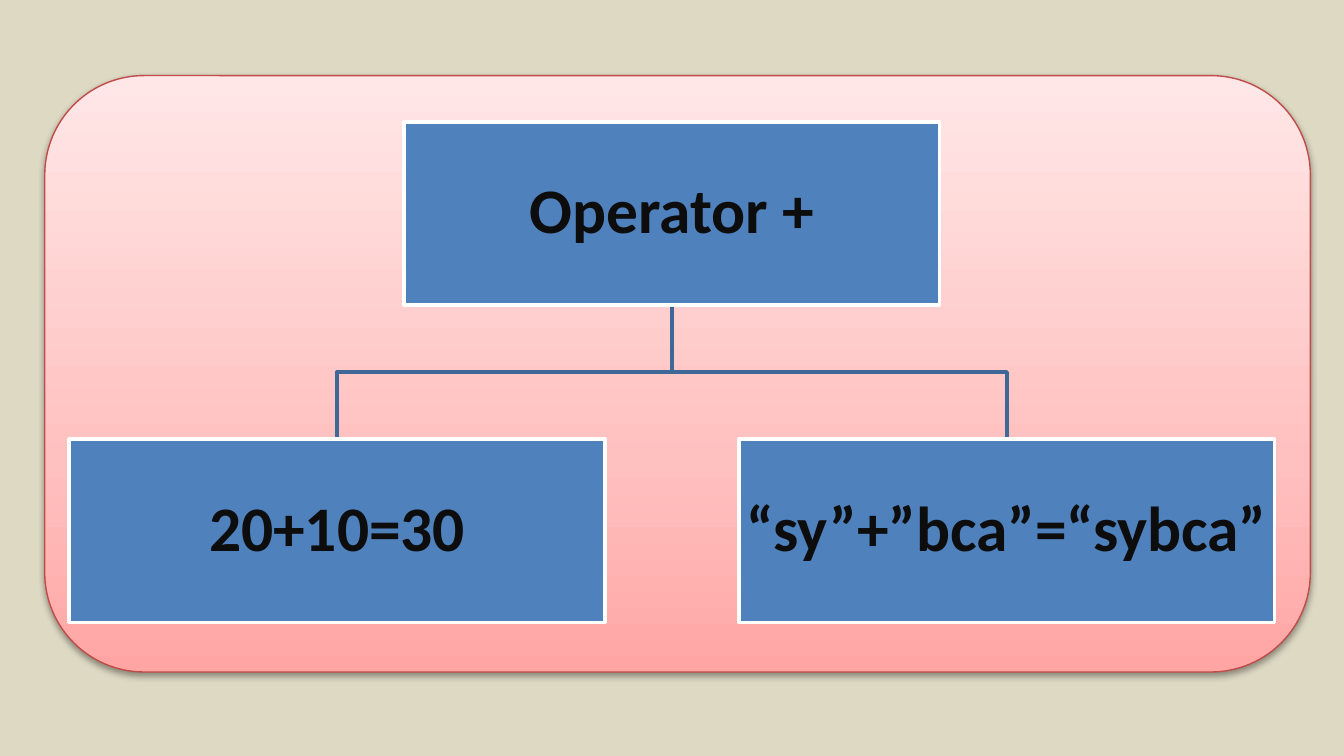
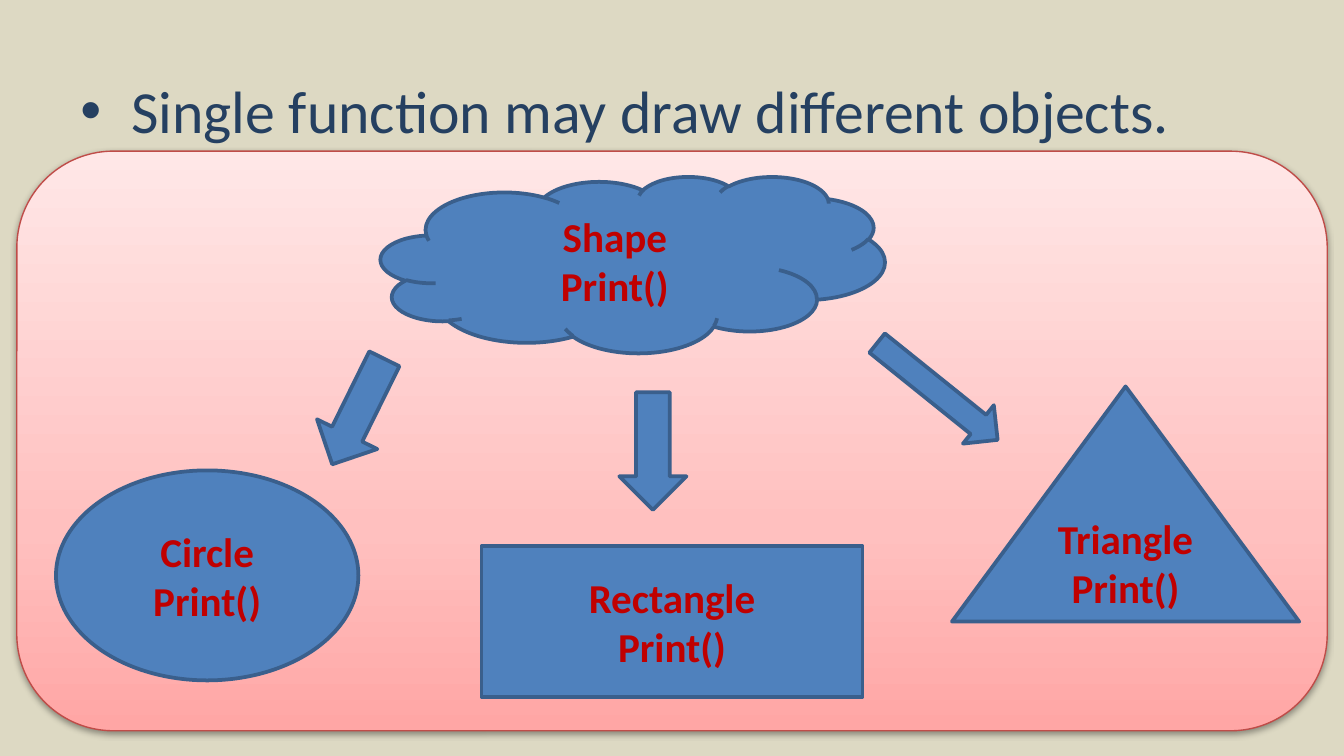
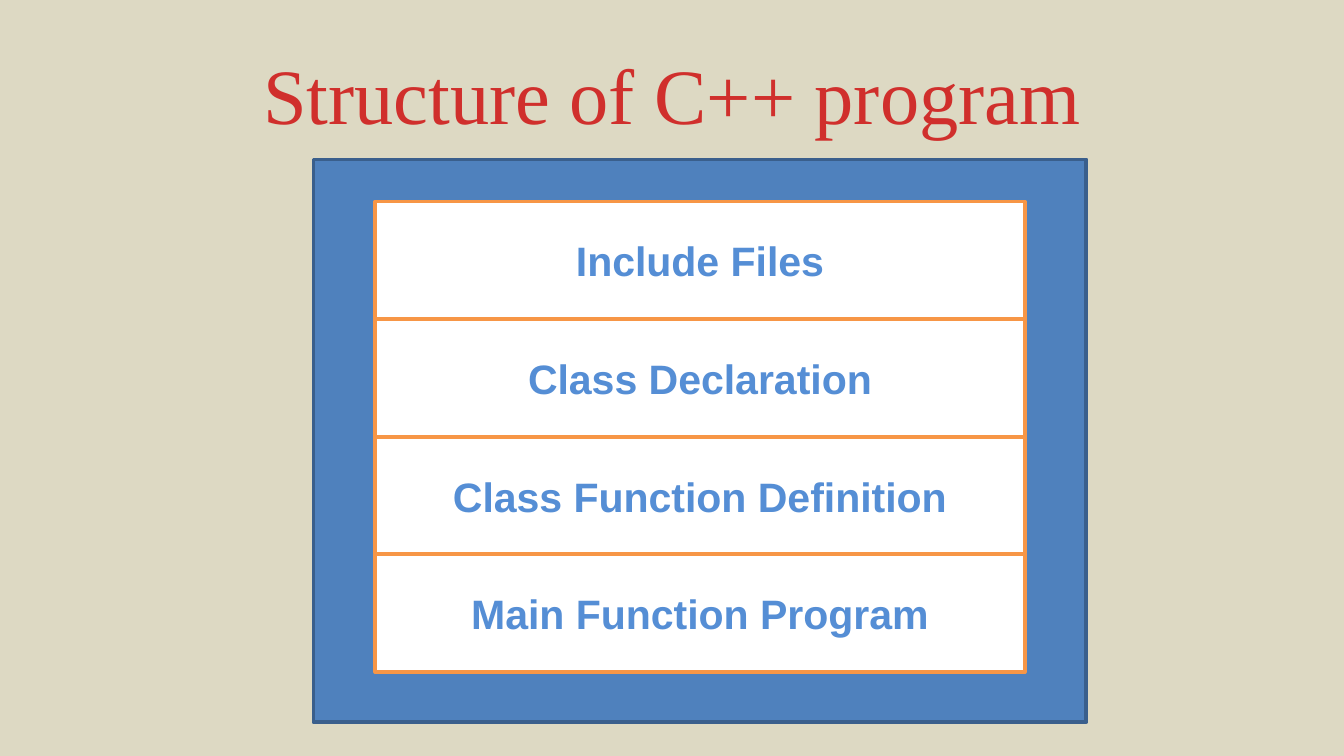
from lxml import etree
from pptx import Presentation
from pptx.dml.color import RGBColor
from pptx.enum.shapes import MSO_SHAPE as Preset
from pptx.enum.text import MSO_ANCHOR as Anchor, PP_ALIGN as Align
from pptx.oxml import parse_xml
from pptx.oxml.ns import nsdecls, qn
from pptx.util import Inches, Pt

# Grid of the 10 x 5.625 inch slide
COLUMNS, ROWS = 120, 90

# Shared colours
SAND, BLUE, EDGE, LINK = "DDD9C3", "4F81BD", "3A5F8C", "3F6797"
WHITE, ORANGE, ROSE = "FFFFFF", "F79646", "BF4C48"
PINK_STOPS = [(0, "FFA6A5"), (35, "FFC0BF"), (100, "FFE7E7")]
RED_STOPS = [(0, "FC7C7A"), (75, "D02F2C"), (100, "C70500")]

# Text formats
NODE = {"name": "Calibri", "size": Pt(34), "bold": True, "color": "0D0D0D"}
OBJECT = {"name": "Calibri", "size": Pt(22), "bold": True, "color": "C00000"}
SECTION = {"name": "Arial", "size": Pt(22), "bold": True, "color": "558ED5"}
BODY = {"name": "Calibri", "size": Pt(32), "color": "254061"}
TITLE = {"name": "Times New Roman", "size": Pt(42)}


def color(value):
    return RGBColor.from_string(value)


def gradient(stops, angle):
    marks = "".join(
        f'<a:gs pos="{share * 1000}"><a:srgbClr val="{value}"/></a:gs>'
        for share, value in stops)
    return parse_xml(
        f'<a:gradFill {nsdecls("a")} rotWithShape="1"><a:gsLst>{marks}</a:gsLst>'
        f'<a:lin ang="{angle * 60000}" scaled="0"/></a:gradFill>')


class Slides:
    """Holds the deck, its style and the current page."""

    def __init__(self):
        self.deck = Presentation()
        self.deck.slide_width = Inches(10)
        self.deck.slide_height = Inches(5.625)
        self.column = self.deck.slide_width / COLUMNS
        self.row = self.deck.slide_height / ROWS
        self.page = None

    def new_page(self):
        self.page = self.deck.slides.add_slide(self.deck.slide_layouts[6])
        fill = self.page.background.fill
        fill.solid()
        fill.fore_color.rgb = color(SAND)

    def place(self, left, top, width, height):
        return (round(left * self.column), round(top * self.row),
                round(width * self.column), round(height * self.row))

    def fill_text(self, frame, lines, style, align=Align.CENTER, **spacing):
        frame.word_wrap = True
        for index, line in enumerate(lines):
            para = frame.add_paragraph() if index else frame.paragraphs[0]
            para.alignment = align
            for name, value in spacing.items():
                setattr(para, name, value)
            span = para.add_run()
            span.text = line
            for name, value in style.items():
                if name == "color":
                    span.font.color.rgb = color(value)
                else:
                    setattr(span.font, name, value)

    def shape(self, preset, area, fill=BLUE, line=EDGE, weight=2, turn=0):
        box = self.page.shapes.add_shape(preset, *self.place(*area))
        box.shadow.inherit = False
        box.fill.solid()
        box.fill.fore_color.rgb = color(fill)
        box.line.color.rgb = color(line)
        box.line.width = Pt(weight)
        box.rotation = turn
        return box

    def label(self, box, lines, style, inset=None, **spacing):
        frame = box.text_frame
        frame.vertical_anchor = Anchor.MIDDLE
        if inset is not None:
            for side in ("left", "top", "right", "bottom"):
                setattr(frame, f"margin_{side}", inset)
        self.fill_text(frame, lines, style, **spacing)

    def panel(self, area):
        """Rounded pink panel with a soft shadow below."""
        box = self.shape(Preset.ROUNDED_RECTANGLE, area, line=ROSE, weight=0.75)
        properties = box._element.spPr
        solid = properties.find(qn("a:solidFill"))
        properties.replace(solid, gradient(PINK_STOPS, 270))
        shadow = etree.SubElement(
            properties.find(qn("a:effectLst")), qn("a:outerShdw"),
            blurRad=str(Pt(3.1)), dist=str(Pt(1.6)), dir="5400000", rotWithShape="0")
        tone = etree.SubElement(shadow, qn("a:srgbClr"), val="000000")
        etree.SubElement(tone, qn("a:alpha"), val="38000")

    def elbow(self, points):
        corners = [self.place(x, y, 0, 0)[:2] for x, y in points]
        builder = self.page.shapes.build_freeform(*corners[0])
        builder.add_line_segments(corners[1:], close=False)
        link = builder.convert_to_shape()
        link.shadow.inherit = False
        link.fill.background()
        link.line.color.rgb = color(LINK)
        link.line.width = Pt(2)

    def text(self, area, line, style, anchor=Anchor.TOP, **layout):
        box = self.page.shapes.add_textbox(*self.place(*area))
        box.text_frame.vertical_anchor = anchor
        self.fill_text(box.text_frame, [line], style, **layout)
        return box.text_frame.paragraphs[0]

    def bullet(self, area, line):
        para = self.text(area, line, BODY, align=Align.LEFT, space_before=Pt(6.4))
        properties = para._p.get_or_add_pPr()
        properties.set("marL", str(Inches(0.38)))
        properties.set("indent", str(-Inches(0.38)))
        etree.SubElement(properties, qn("a:buFont"), typeface="Arial")
        etree.SubElement(properties, qn("a:buChar"), char="•")

    def title(self, area, line):
        para = self.text(area, line, TITLE, anchor=Anchor.MIDDLE)
        para.runs[0].font._element.insert(0, gradient(RED_STOPS, 90))


def operator_page(slides):
    slides.new_page()
    slides.panel((4, 9, 113, 71))
    width, height = 47.8, 21.8
    root_top, leaf_top = 14.5, 52.3
    middle = COLUMNS / 2
    root_bottom = root_top + height
    bend = (root_bottom + leaf_top) / 2
    # Links, then the root and its two leaves
    centers = {"20+10=30": middle - 29.9, "“sy”+”bca”=“sybca”": middle + 29.9}
    for center in reversed(centers.values()):
        slides.elbow([(middle, root_bottom), (middle, bend),
                      (center, bend), (center, leaf_top)])
    nodes = [("Operator +", middle, root_top)]
    nodes += [(words, center, leaf_top) for words, center in centers.items()]
    for words, center, top in nodes:
        box = slides.shape(Preset.RECTANGLE,
                           (center - width / 2, top, width, height), line=WHITE)
        slides.label(box, [words], NODE, inset=Inches(0.02),
                     line_spacing=0.9, space_after=Pt(11.9))


def function_page(slides):
    slides.new_page()
    slides.panel((1.5, 18, 117, 69))
    slides.bullet((6, 8, 108, 59.4), "Single function may draw different objects.")
    # Base class and the objects that share its function
    for name, preset, area in [
            ("Shape", Preset.CLOUD, (34, 21, 45, 21)),
            ("Circle", Preset.OVAL, (5, 56, 27, 25)),
            ("Rectangle", Preset.RECTANGLE, (43, 65, 34, 18)),
            ("Triangle", Preset.ISOSCELES_TRIANGLE, (85, 46, 31, 28))]:
        slides.label(slides.shape(preset, area), [name, "Print()"], OBJECT)
    # Arrows from the base class
    for area, turn in [((29, 42, 6, 14), 26.3),
                       ((55.3, 46.7, 6, 14), 0),
                       ((81.5, 37.4, 4.4, 18.4), 308.8)]:
        slides.shape(Preset.DOWN_ARROW, area, turn=turn)


def structure_page(slides):
    slides.new_page()
    slides.shape(Preset.RECTANGLE, (28, 19, 69, 67))
    slides.title((6, 3.6, 108, 15), "Structure of C++ program")
    # Stacked program sections
    top, height = 24, 14
    sections = ["Include Files", "Class Declaration",
                "Class Function Definition", "Main Function Program"]
    for index, words in enumerate(sections):
        box = slides.shape(Preset.RECTANGLE,
                           (33.5, top + index * height, 58, height), WHITE, ORANGE)
        slides.label(box, [words], SECTION)


def main():
    slides = Slides()
    for build in (operator_page, function_page, structure_page):
        build(slides)
    slides.deck.save("out.pptx")


if __name__ == "__main__":
    main()
